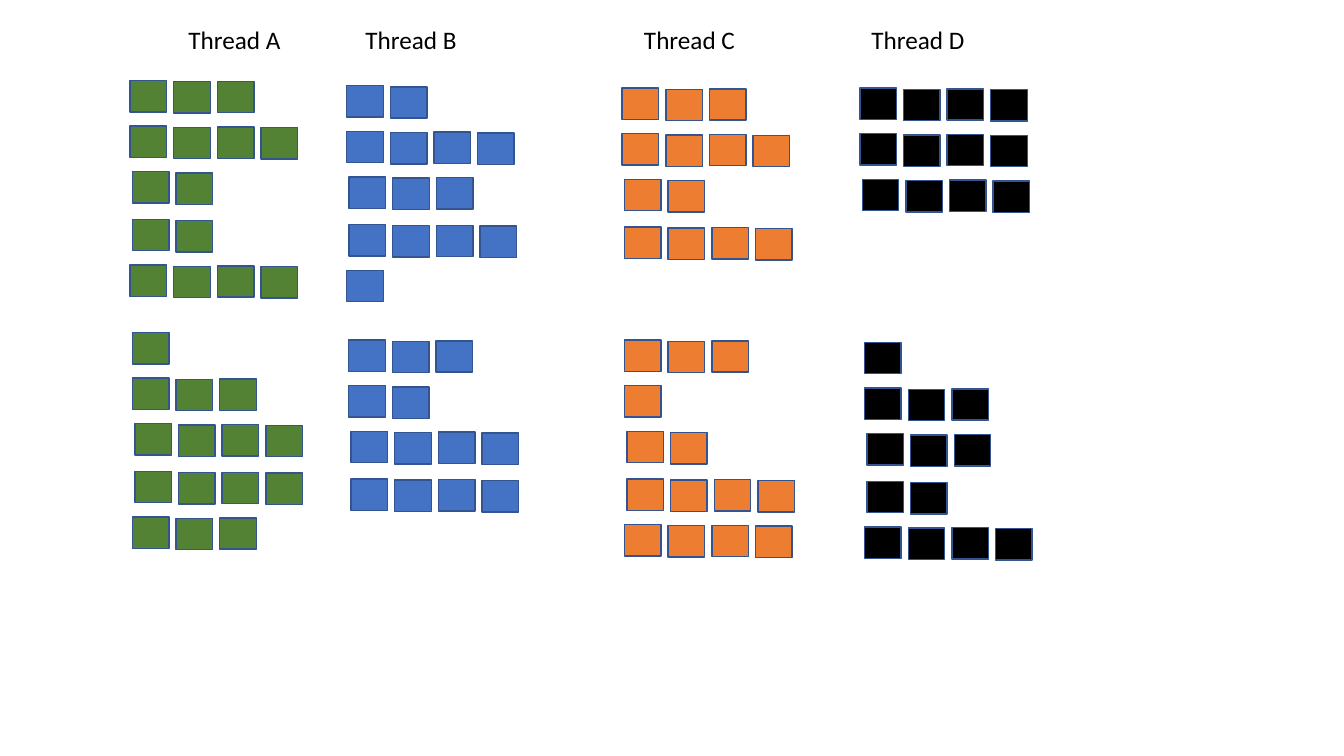
from lxml.etree import SubElement
from pptx import Presentation
from pptx.dml.color import RGBColor
from pptx.enum.shapes import MSO_SHAPE as Shape
from pptx.enum.text import MSO_AUTO_SIZE as AutoSize
from pptx.oxml.ns import qn
from pptx.util import Cm, Pt

COLORS = {
    "blue": "4472C4",
    "orange": "ED7D31",
    "black": "000000",
    "green": "548235",
    "outline": "325491",
}
TASK_W, TASK_H = 0.92, 0.79
TASK_PITCH = 1.1
TASK_DROPS = (0, 0.03, 0.02, 0.04)
ROW_OFFSETS = ((0, 0), (0, 1.15), (0.06, 2.3), (0.06, 3.5), (0, 4.65))
THREADS = [
    ("blue", (8.74, 2.16, (2, 4, 3, 4, 1)), (8.79, 8.57, (3, 2, 4, 4))),
    ("orange", (15.68, 2.22, (3, 4, 2, 4)), (15.74, 8.57, (3, 1, 2, 4, 4))),
    ("black", (21.67, 2.22, (4, 4, 4)), (21.79, 8.63, (1, 3, 3, 2, 4))),
    ("green", (3.28, 2.03, (3, 4, 2, 2, 4)), (3.34, 8.38, (1, 3, 4, 4, 3))),
]
THREAD_NAMES = ("Thread A", "Thread B", "Thread C", "Thread D")
THREAD_TABS = (4.46, 11.48, 17.21)


def rgb(name):
    return RGBColor.from_string(COLORS[name])


def add_task(slide, left, top, color):
    task = slide.shapes.add_shape(
        Shape.RECTANGLE, Cm(left), Cm(top), Cm(TASK_W), Cm(TASK_H))
    task.shadow.inherit = False
    task.fill.solid()
    task.fill.fore_color.rgb = rgb(color)
    task.line.color.rgb = rgb("outline")
    task.line.width = Pt(1)


def add_task_block(slide, left, top, row_counts, color):
    for (shift, offset), count in zip(ROW_OFFSETS, row_counts):
        for column, drop in enumerate(TASK_DROPS[:count]):
            add_task(slide, left + shift + column * TASK_PITCH,
                     top + offset + drop, color)


def add_thread_names(slide, left, top, width, height):
    heading = slide.shapes.add_textbox(Cm(left), Cm(top), Cm(width), Cm(height))
    frame = heading.text_frame
    frame.word_wrap = True
    frame.auto_size = AutoSize.SHAPE_TO_FIT_TEXT
    names = frame.paragraphs[0]
    tabs = SubElement(names._p.get_or_add_pPr(), qn("a:tabLst"))
    for position in THREAD_TABS:
        SubElement(tabs, qn("a:tab"), pos=str(Cm(position)), algn="l")
    for index, name in enumerate(THREAD_NAMES):
        run = names.add_run()
        run.text = "\t" + name if index else name
        run.font.name = "Calibri"
        run.font.size = Pt(18)
        run.font.color.rgb = rgb("black")


def main():
    deck = Presentation()
    deck.slide_width, deck.slide_height = Cm(33.87), Cm(19.05)
    slide = deck.slides.add_slide(deck.slide_layouts[6])
    for color, *blocks in THREADS:
        for left, top, row_counts in blocks:
            add_task_block(slide, left, top, row_counts, color)
    add_thread_names(slide, 4.5, 0.48, 20.45, 1.03)
    deck.save("out.pptx")


if __name__ == "__main__":
    main()
